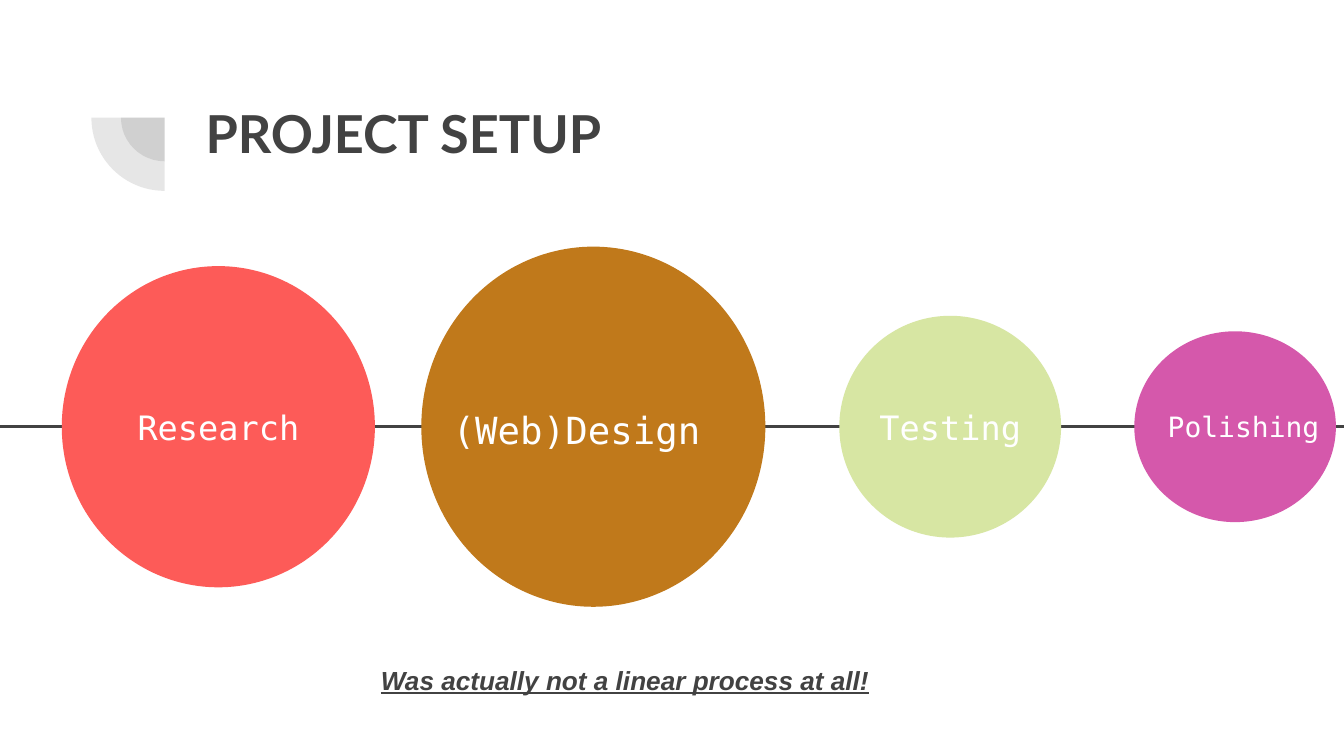
from lxml.etree import SubElement
from pptx import Presentation
from pptx.dml.color import RGBColor
from pptx.enum.shapes import MSO_CONNECTOR, MSO_SHAPE
from pptx.enum.text import MSO_ANCHOR, MSO_AUTO_SIZE, PP_ALIGN
from pptx.oxml.ns import qn
from pptx.util import Emu, Pt

EMU_PER_PX = 4572  # 200 px to the inch
WIDTH, HEIGHT = 2000, 1125
AXIS_Y = 635
INK = "424242"
MONO = "DejaVu Sans Mono"

# Circle left, width, height, colour; label offset, width, text, size, alignment, line spacing
STAGES = [
    (92, 466, 478, "FD5B58", 88, 290, "Research", 18, PP_ALIGN.CENTER, 1.0),
    (627, 512, 536, "C0791B", 27, 456, "(Web)Design", 20, PP_ALIGN.LEFT, 1.15),
    (1249, 330, 330, "D7E6A3", 0, 330, "Testing", 18, PP_ALIGN.CENTER, 1.0),
    (1688, 300, 284, "D558AB", 30, 270, "Polishing", 15, PP_ALIGN.LEFT, 1.0),
]


def px(n):
    return Emu(n * EMU_PER_PX)


def box(x, y, w, h):
    return px(x), px(y), px(w), px(h)


def rgb(color):
    return RGBColor.from_string(color)


def write(s, text, size, font, color=INK, bold=False, italic=False, underline=False,
          align=PP_ALIGN.LEFT, anchor=MSO_ANCHOR.TOP, spacing=1.0):
    tf = s.text_frame
    tf.word_wrap = True
    tf.auto_size = MSO_AUTO_SIZE.NONE
    tf.vertical_anchor = anchor
    tf.margin_left = tf.margin_right = tf.margin_top = tf.margin_bottom = px(20)
    p = tf.paragraphs[0]
    p.alignment = align
    p.line_spacing = spacing
    r = p.add_run()
    r.text = text
    r.font.size = Pt(size)
    r.font.name = font
    r.font.bold = bold
    r.font.italic = italic
    r.font.underline = underline
    r.font.color.rgb = rgb(color)


def add_filled(sp, kind, x, y, w, h, color):
    s = sp.add_shape(kind, *box(x, y, w, h))
    s.shadow.inherit = False
    s.fill.solid()
    s.fill.fore_color.rgb = rgb(color)
    s.line.fill.background()
    return s


def add_corner_mark(sp, cx, cy):
    """Two translucent quarter discs around one centre."""
    for radius in (65, 109):
        s = add_filled(sp, MSO_SHAPE.PIE, cx - radius, cy - radius,
                       2 * radius, 2 * radius, INK)
        s.adjustments[0] = 54   # 90 degrees
        s.adjustments[1] = 108  # 180 degrees
        clr = s.fill._xPr.find(qn("a:solidFill"))[0]
        SubElement(clr, qn("a:alpha"), val="13000")


def add_title(slide, x, y, w, h):
    s = slide.shapes.title
    s.left, s.top, s.width, s.height = box(x, y, w, h)
    write(s, "PROJECT SETUP", 28, "Lato", bold=True)


def add_timeline(sp, x, y, w):
    line = sp.add_connector(MSO_CONNECTOR.STRAIGHT, px(x), px(y), px(x + w), px(y))
    line.line.color.rgb = rgb(INK)
    line.line.width = Pt(1.5)
    SubElement(line._element.spPr, qn("a:effectLst"))
    label_h = 132
    for left, cw, ch, color, dx, label_w, text, size, align, spacing in STAGES:
        add_filled(sp, MSO_SHAPE.OVAL, x + left, y - ch // 2, cw, ch, color)
        label = sp.add_textbox(*box(x + left + dx, y - label_h // 2, label_w, label_h))
        write(label, text, size, MONO, color="FFFFFF", align=align,
              anchor=MSO_ANCHOR.MIDDLE, spacing=spacing)


def add_remark(sp, x, y, w, h):
    s = sp.add_textbox(*box(x, y, w, h))
    write(s, "Was actually not a linear process at all!", 14, "Arial",
          bold=True, italic=True, underline=True)


def main():
    prs = Presentation()
    prs.slide_width, prs.slide_height = px(WIDTH), px(HEIGHT)
    slide = prs.slides.add_slide(prs.slide_layouts[5])
    sp = slide.shapes
    add_corner_mark(sp, 245, 175)
    add_title(slide, 286, 130, 1538, 218)
    add_timeline(sp, 0, AXIS_Y, WIDTH)
    add_remark(sp, 547, 968, 906, 106)
    prs.save("out.pptx")


if __name__ == "__main__":
    main()
